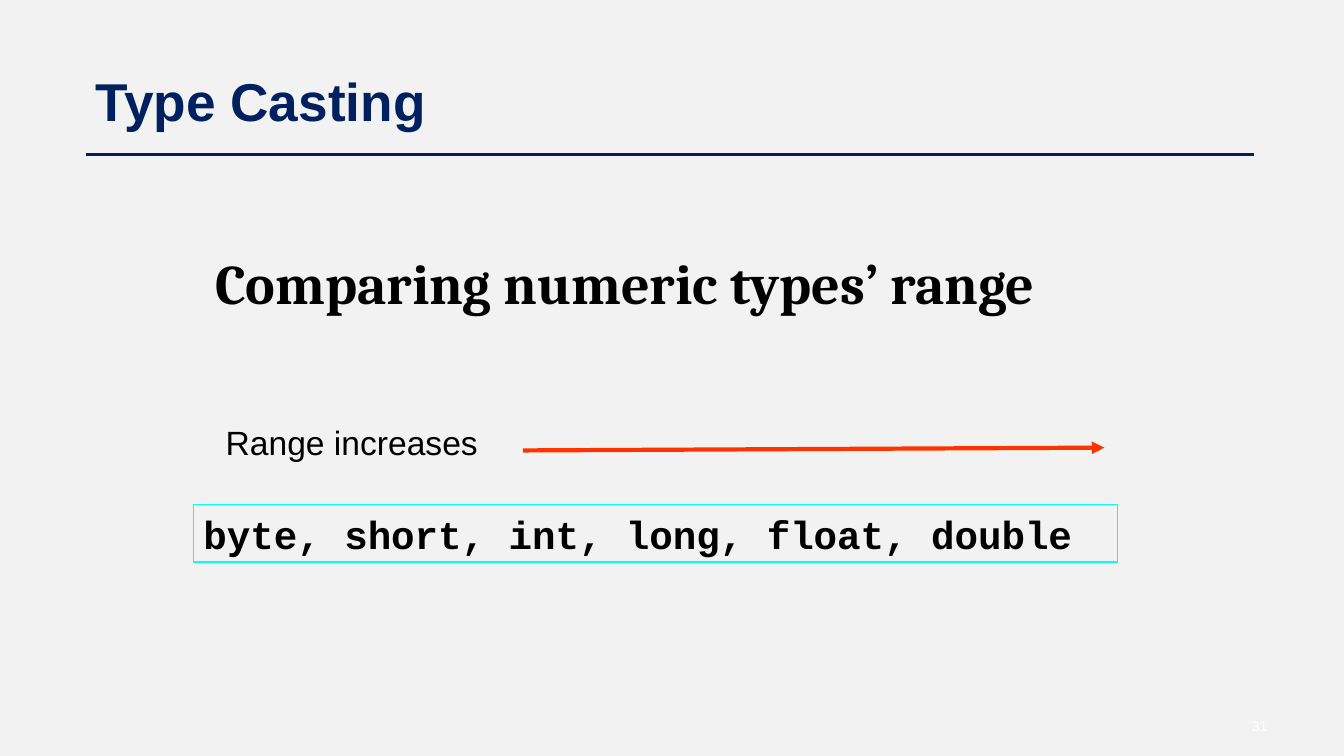
"""Build the Type Casting slide that compares the ranges of numeric types."""
from dataclasses import dataclass

from lxml import etree
from pptx import Presentation
from pptx.dml.color import RGBColor
from pptx.enum.shapes import MSO_CONNECTOR, MSO_SHAPE
from pptx.enum.text import MSO_ANCHOR, PP_ALIGN
from pptx.oxml.ns import qn
from pptx.util import Cm, Pt

STRAIGHT = MSO_CONNECTOR.STRAIGHT
RECT = MSO_SHAPE.RECTANGLE
TOP, MIDDLE, BOTTOM = MSO_ANCHOR.TOP, MSO_ANCHOR.MIDDLE, MSO_ANCHOR.BOTTOM
LEFT, RIGHT = PP_ALIGN.LEFT, PP_ALIGN.RIGHT


@dataclass(frozen=True)
class Theme:
    back: str = "F2F2F2"
    navy: str = "002060"
    ink: str = "000000"
    cyan: str = "00FFFF"
    red: str = "FF3300"
    white: str = "FFFFFF"
    sans: str = "Arial"
    serif: str = "Cambria"
    mono: str = "Courier New"
    head: int = 38
    title: int = 40
    code: int = 28
    label: int = 24
    page: int = 10


theme = Theme()
deck = Presentation()
deck.slide_width, deck.slide_height = Cm(33.88), Cm(19.05)
slide = deck.slides.add_slide(deck.slide_layouts[6])
slide.background.fill.solid()
slide.background.fill.fore_color.rgb = RGBColor.from_string(theme.back)


def add_text(text, place, face, size, color, bold=False, anchor=TOP, align=LEFT,
             framed=False):
    spot = [Cm(n) for n in place]
    box = (slide.shapes.add_shape(RECT, *spot) if framed
           else slide.shapes.add_textbox(*spot))
    frame = box.text_frame
    frame.word_wrap = True
    frame.vertical_anchor = anchor
    para = frame.paragraphs[0]
    para.text = text
    para.alignment = align
    font = para.font
    font.name, font.size, font.bold = face, Pt(size), bold
    font.color.rgb = RGBColor.from_string(color)
    return box


def add_line(ends, color, width):
    line = slide.shapes.add_connector(STRAIGHT, *map(Cm, ends))
    line.line.color.rgb = RGBColor.from_string(color)
    line.line.width = Pt(width)
    etree.SubElement(line._element.spPr, qn("a:effectLst"))
    return line


title = add_text("Comparing numeric types’ range", (5.18, 6.12, 22.66, 1.96),
                 theme.serif, theme.title, theme.ink, True, BOTTOM)
title.text_frame.paragraphs[0].line_spacing = 0.8

types = add_text("byte, short, int, long, float, double", (4.88, 12.71, 23.29, 1.45),
                 theme.mono, theme.code, theme.ink, True, framed=True)
types.text_frame.margin_top = Cm(0.15)
types.text_frame.margin_bottom = 0
types.shadow.inherit = False
types.fill.background()
types.line.color.rgb = RGBColor.from_string(theme.cyan)
types.line.width = Pt(1)

label = add_text("Range increases", (5.44, 10.5, 6.86, 1.27),
                 theme.sans, theme.label, theme.ink)
label.text_frame.word_wrap = False

arrow = add_line((13.18, 11.35, 27.84, 11.28), theme.red, 3)
etree.SubElement(arrow.line._get_or_add_ln(), qn("a:tailEnd"), type="triangle")

add_text("Type Casting", (2.16, 1.6, 14.91, 1.88),
         theme.sans, theme.head, theme.navy, True)
add_line((2.16, 3.9, 31.6, 3.9), theme.navy, 2.25)
add_text("31", (29.2, 17.9, 3, 0.8), theme.sans, theme.page, theme.white,
         anchor=MIDDLE, align=RIGHT)

deck.save("out.pptx")
